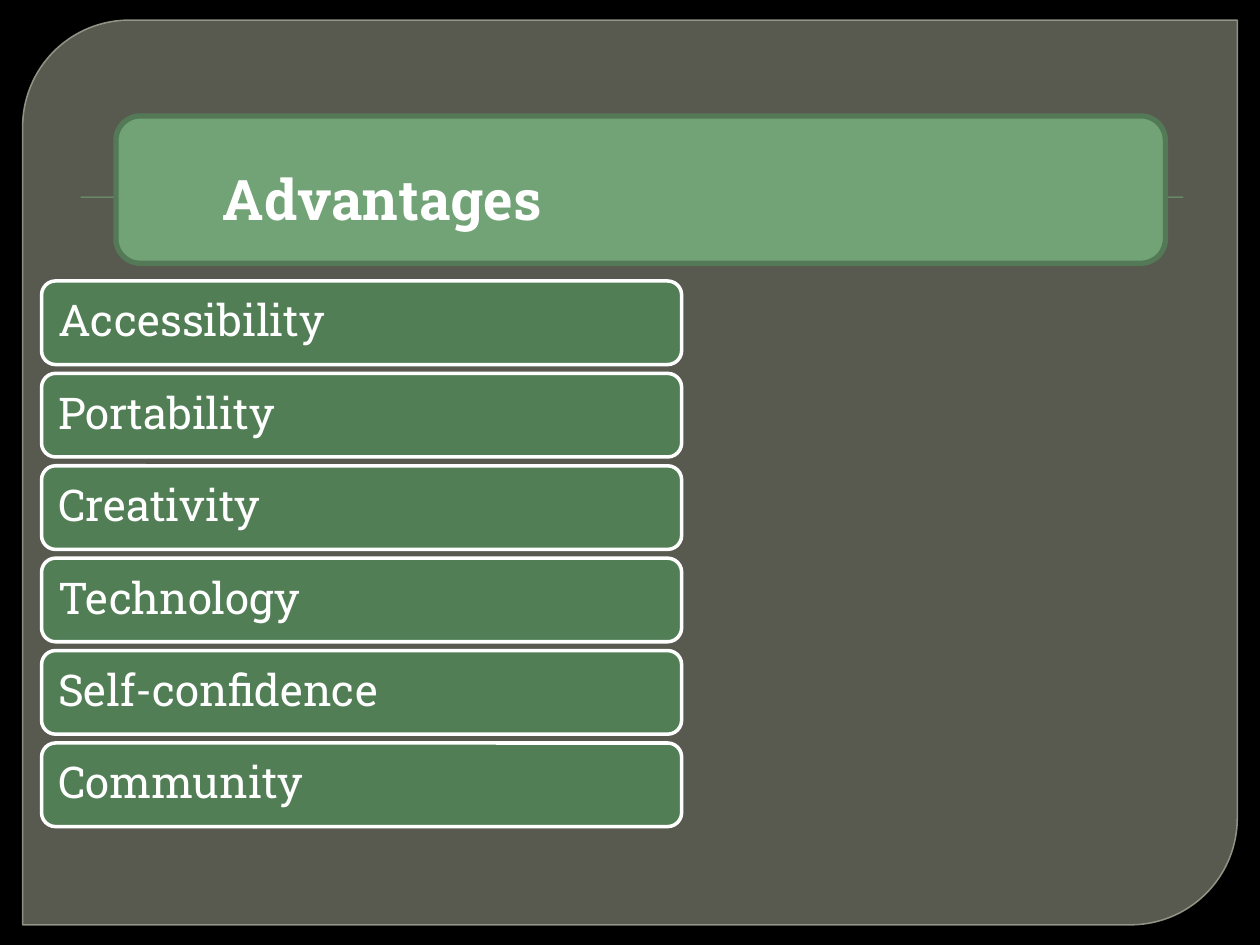
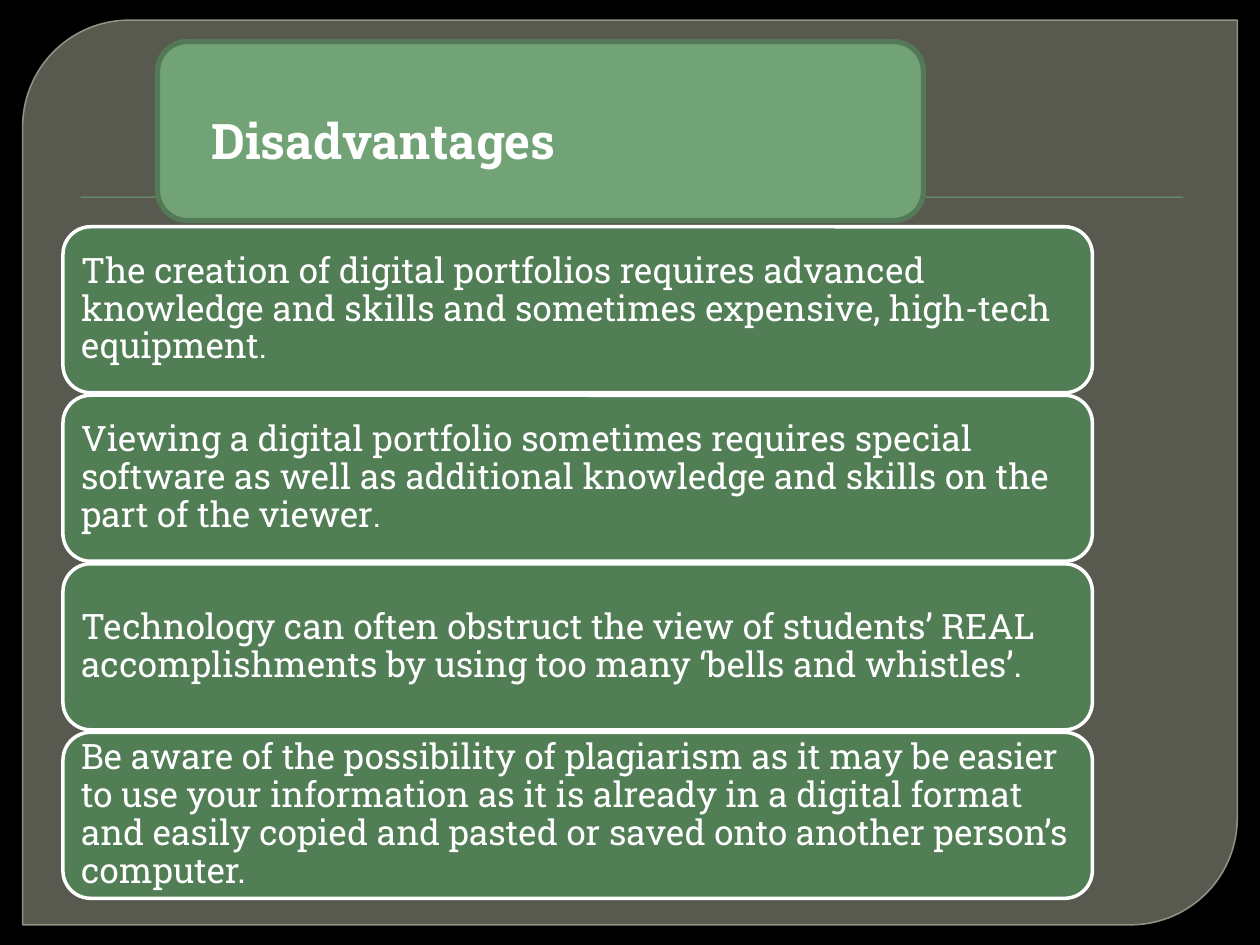
"""Build two slides on the advantages and disadvantages of digital portfolios."""
from dataclasses import dataclass

from lxml import etree
from pptx import Presentation
from pptx.dml.color import RGBColor as Rgb
from pptx.enum import shapes, text
from pptx.oxml import ns
from pptx.util import Inches, Pt

KIND = shapes.MSO_SHAPE


@dataclass(frozen=True)
class Theme:
    """Colours, font and type sizes shared by the slides."""
    back: str = "000000"
    panel: str = "888B7B"
    edge: str = "9DA090"
    light: str = "72A376"
    rim: str = "547957"
    dark: str = "527E56"
    white: str = "FFFFFF"
    face: str = "Roboto Slab"
    head: int = 32
    small: int = 28
    item: int = 25
    body: int = 20
    stop: int = 18


THEME = Theme()


def fade(fill, pct):
    """Make a solid fill partly clear, keeping pct of its colour."""
    tint = fill._xPr.find(".//" + ns.qn("a:srgbClr"))
    etree.SubElement(tint, ns.qn("a:alpha"), val=str(pct * 1000))


def block(slide, kind, box, fill, line=None, width=0):
    """Add a flat preset shape in box, given in inches."""
    shape = slide.shapes.add_shape(kind, *map(Inches, box))
    shape.shadow.inherit = False
    shape.fill.solid()
    shape.fill.fore_color.rgb = Rgb.from_string(fill)
    if line:
        shape.line.color.rgb = Rgb.from_string(line)
        shape.line.width = Pt(width)
    else:
        shape.line.fill.background()
    return shape


def style(font, size, bold=False):
    """Set the shared face and colour with the given size."""
    font.name = THEME.face
    font.size = Pt(size)
    font.bold = bold
    font.color.rgb = Rgb.from_string(THEME.white)


def frame(slide):
    """Draw the black ground, the rounded panel and the thin rule."""
    ground = slide.background.fill
    ground.solid()
    ground.fore_color.rgb = Rgb.from_string(THEME.back)
    panel = block(slide, KIND.ROUND_2_DIAG_RECTANGLE, (0.18, 0.16, 9.64, 7.18),
                  THEME.panel, THEME.edge, 0.87)
    panel.adjustments[0] = 0.118
    fade(panel.fill, 65)
    fade(panel.line.fill, 88)
    block(slide, KIND.RECTANGLE, (0.64, 1.56, 8.75, 0.01), THEME.light)


def banner(slide, box, title, size, inset):
    """Draw the title band, with its label at an inset from the corner."""
    block(slide, KIND.ROUNDED_RECTANGLE, box, THEME.light, THEME.rim, 3)
    left, top, width, _ = box
    over, down = inset
    label = slide.shapes.add_textbox(
        *map(Inches, (left + over, top + down, width - 2 * over, 0.6)))
    label.text_frame.word_wrap = True
    para = label.text_frame.paragraphs[0]
    para.text = title
    style(para.font, size, True)


def bar(slide, box, words, size, pad):
    """Draw one bar; a second part of words is set in the stop size."""
    shape = block(slide, KIND.ROUNDED_RECTANGLE, box, THEME.dark, THEME.white, 2)
    body = shape.text_frame
    body.word_wrap = True
    body.vertical_anchor = text.MSO_ANCHOR.MIDDLE
    body.margin_left = body.margin_right = Inches(pad)
    body.margin_top = body.margin_bottom = Inches(pad)
    para = body.paragraphs[0]
    para.alignment = text.PP_ALIGN.LEFT
    para.line_spacing = 0.9
    style(para.font, size)
    for part, points in zip(words, (size, THEME.stop)):
        run = para.add_run()
        run.text = part
        if len(words) > 1:
            run.font.size = Pt(points)


def stack(slide, box, items, size, gap, pad):
    """Fill box with equal bars, one for each item."""
    left, top, width, height = box
    tall = (height - gap * (len(items) - 1)) / len(items)
    for row, words in enumerate(items):
        spot = (left, top + row * (tall + gap), width, tall)
        bar(slide, spot, words, size, pad)


def pros(slide):
    """Build the slide of advantages."""
    frame(slide)
    items = ("Accessibility", "Portability", "Creativity", "Technology",
             "Self-confidence", "Community")
    stack(slide, (0.33, 2.23, 5.08, 4.33), [(item,) for item in items],
          THEME.item, 0.07, 0.1)
    banner(slide, (0.92, 0.92, 8.33, 1.17), "Advantages", THEME.head,
           (0.75, 0.34))


def cons(slide):
    """Build the slide of disadvantages."""
    frame(slide)
    items = (
        ("The creation of digital portfolios requires advanced knowledge and "
         "skills and sometimes expensive, high-tech equipment", "."),
        ("Viewing a digital portfolio sometimes requires special software as "
         "well as additional knowledge and skills on the part of the viewer",
         "."),
        ("Technology can often obstruct the view of students’ REAL "
         "accomplishments by using too many ‘bells and whistles’.",),
        ("Be aware of the possibility of plagiarism as it may be easier to use "
         "your information as it is already in a digital format and easily "
         "copied and pasted or saved onto another person’s computer.",),
    )
    stack(slide, (0.5, 1.8, 8.17, 5.33), items, THEME.body, 0.02, 0.08)
    banner(slide, (1.25, 0.33, 6.08, 1.42), "Disadvantages", THEME.small,
           (0.33, 0.5))


def main():
    """Build and save the deck."""
    deck = Presentation()
    deck.slide_width, deck.slide_height = Inches(10), Inches(7.5)
    for build in (pros, cons):
        build(deck.slides.add_slide(deck.slide_layouts[6]))
    deck.save("out.pptx")


main()
